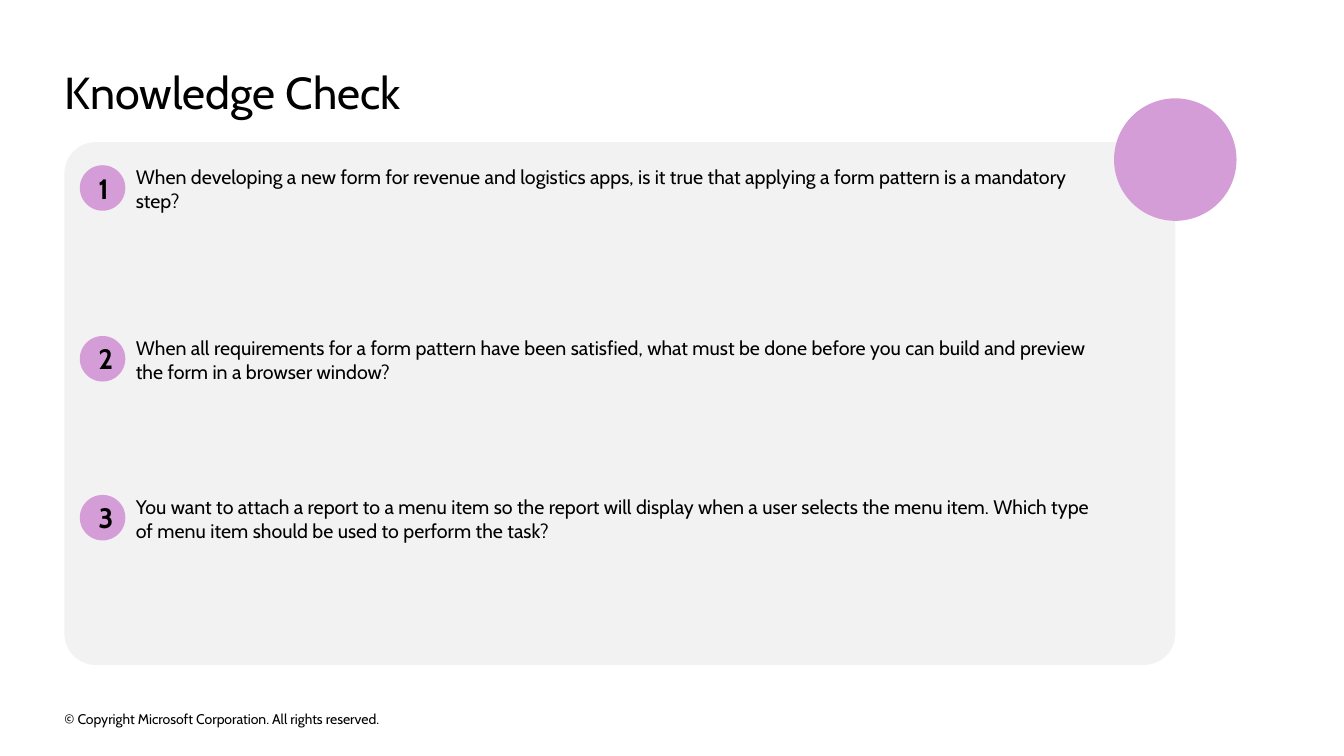
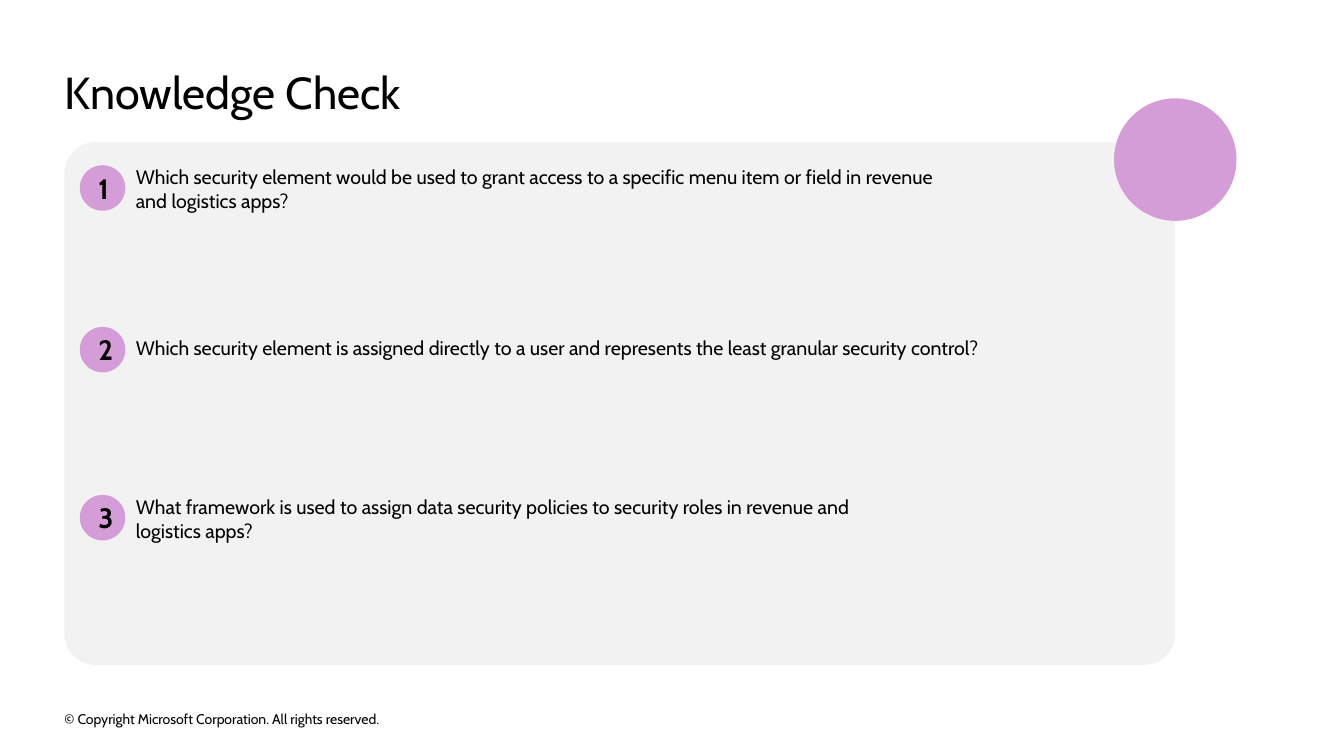
"""Build two knowledge check slides on one shared layout."""
from copy import deepcopy

from lxml import etree
from pptx import Presentation
from pptx.dml.color import RGBColor
from pptx.enum import shapes, text
from pptx.oxml import ns
from pptx.util import Pt

FONT = "Cabin"
COLORS = {"ink": "000000", "panel": "F2F2F2", "accent": "D59DD7"}
TITLE = "Knowledge Check"
COPYRIGHT = "© Copyright Microsoft Corporation. All rights reserved."
COMPARISON_LAYOUT = 4
SPARE_PLACEHOLDER = 4
MARGIN = 46
PANEL = (MARGIN, 101.5, 793.5, 373.5)
CIRCLE_SIZE = 87.5
CIRCLE_CENTER = (PANEL[0] + PANEL[2], 114)
BADGE_LEFT, BADGE_SIZE = 57, 32.5
QUESTION_LEFT, QUESTION_WIDTH, QUESTION_HEIGHT = 97, 691, 34
QUESTION_TOPS = (118, 240, 353.5)

CHECKS = [
    {
        "badge_tops": QUESTION_TOPS,
        "questions": [
            "When developing a new form for revenue and logistics apps, is it true that "
            "applying a form pattern is a mandatory step?",
            "When all requirements for a form pattern have been satisfied, what must be done "
            "before you can build and preview the form in a browser window?",
            "You want to attach a report to a menu item so the report will display when a user "
            "selects the menu item. Which type of menu item should be used to perform the task?",
        ],
    },
    {
        "badge_tops": (QUESTION_TOPS[0], 233.5, QUESTION_TOPS[2]),
        "questions": [
            "Which security element would be used to grant access to a specific menu item or "
            "field in revenue\vand logistics apps?",
            "Which security element is assigned directly to a user and represents the least "
            "granular security control?",
            "What framework is used to assign data security policies to security roles in "
            "revenue and\vlogistics apps?",
        ],
    },
]


def place(box, left, top, width, height):
    """Set the position and size of a box in points."""
    box.left, box.top = Pt(left), Pt(top)
    box.width, box.height = Pt(width), Pt(height)


def write(box, words, size, bold=False, align=text.PP_ALIGN.LEFT,
          anchor=text.MSO_ANCHOR.TOP, insets=(0, 0)):
    """Fill a box with one formatted paragraph without bullet or indent."""
    frame = box.text_frame
    frame.text = ""
    frame.word_wrap = True
    frame.auto_size = text.MSO_AUTO_SIZE.NONE
    frame.vertical_anchor = anchor
    frame.margin_left = frame.margin_right = Pt(insets[0])
    frame.margin_top = frame.margin_bottom = Pt(insets[1])
    para = frame.paragraphs[0]
    para.text = words
    settings = para._p.get_or_add_pPr()
    settings.set("marL", "0")
    settings.set("indent", "0")
    etree.SubElement(settings, ns.qn("a:buNone"))
    para.alignment = align
    para.space_before = para.space_after = Pt(0)
    para.line_spacing = 1.0
    for span in para.runs:
        span.font.name, span.font.size, span.font.bold = FONT, Pt(size), bold
        span.font.color.rgb = RGBColor.from_string(COLORS["ink"])
    for line_break in para._p.findall(ns.qn("a:br")):
        line_break.insert(0, deepcopy(para.runs[0].font._element))


def add_filled(page, kind, color, left, top, width, height):
    """Add a flat preset shape without outline."""
    box = page.shapes.add_shape(kind, Pt(left), Pt(top), Pt(width), Pt(height))
    box.shadow.inherit = False
    box.fill.solid()
    box.fill.fore_color.rgb = RGBColor.from_string(COLORS[color])
    box.line.fill.background()
    return box


def add_disc(page, left, top, size):
    """Add an accent circle."""
    return add_filled(page, shapes.MSO_SHAPE.OVAL, "accent", left, top, size, size)


def move_to_layout(page, boxes):
    """Move boxes from a page to the back of its layout."""
    tree = page.slide_layout.shapes.element
    for position, box in enumerate(boxes, start=2):
        tree.insert(position, box.element)


def add_backdrop(page):
    """Draw the panel, circle and copyright line shared by all pages."""
    footer = page.shapes.add_textbox(Pt(MARGIN), Pt(505.5), Pt(327), Pt(16))
    write(footer, COPYRIGHT, 10, anchor=text.MSO_ANCHOR.MIDDLE)
    panel = add_filled(page, shapes.MSO_SHAPE.ROUNDED_RECTANGLE, "panel", *PANEL)
    panel.adjustments[0] = 0.06
    left, top = (center - CIRCLE_SIZE / 2 for center in CIRCLE_CENTER)
    circle = add_disc(page, left, top, CIRCLE_SIZE)
    move_to_layout(page, [footer, panel, circle])


def add_question(page, number, badge_top, top, words):
    """Add a numbered badge and its question."""
    badge = add_disc(page, BADGE_LEFT, badge_top, BADGE_SIZE)
    write(badge, str(number), 20, bold=True, align=text.PP_ALIGN.CENTER,
          anchor=text.MSO_ANCHOR.MIDDLE, insets=(14.4, 11.5))
    question = page.placeholders[number]
    place(question, QUESTION_LEFT, top, QUESTION_WIDTH, QUESTION_HEIGHT)
    write(question, words, 14)


def add_check_page(deck, check):
    """Add a page with a title and its numbered questions."""
    page = deck.slides.add_slide(deck.slide_layouts[COMPARISON_LAYOUT])
    spare = page.placeholders[SPARE_PLACEHOLDER].element
    spare.getparent().remove(spare)
    place(page.shapes.title, MARGIN, MARGIN, 867, 39)
    write(page.shapes.title, TITLE, 32)
    rows = zip(check["badge_tops"], QUESTION_TOPS, check["questions"])
    for number, row in enumerate(rows, start=1):
        add_question(page, number, *row)
    return page


def main():
    """Build and save the deck."""
    deck = Presentation()
    deck.slide_width, deck.slide_height = Pt(960), Pt(540)
    pages = [add_check_page(deck, check) for check in CHECKS]
    add_backdrop(pages[0])
    deck.save("out.pptx")


if __name__ == "__main__":
    main()
